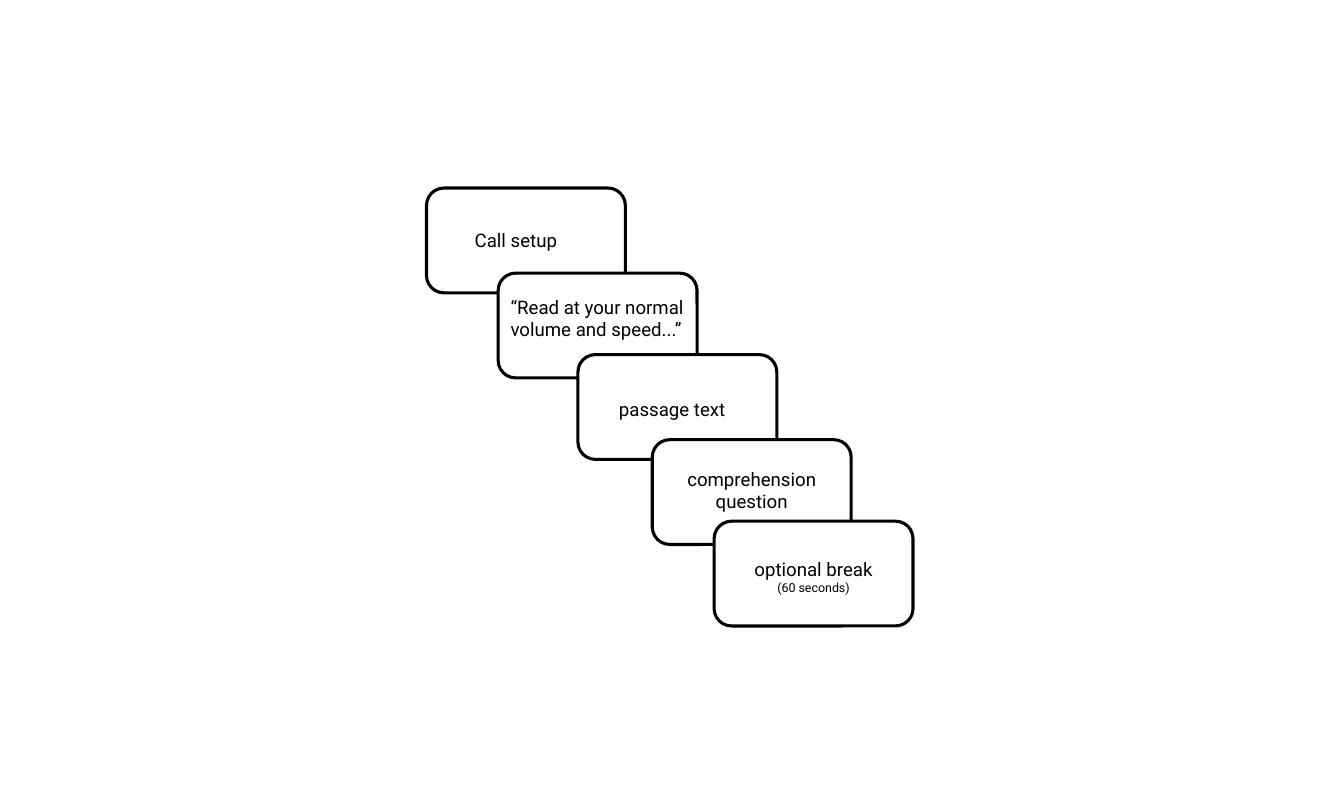
"""Build a slide with the cascading screens of a reading-aloud session."""
from pptx import Presentation
from pptx.dml.color import RGBColor
from pptx.enum.shapes import MSO_SHAPE
from pptx.enum.text import PP_ALIGN
from pptx.util import Inches, Pt

ROUNDED = MSO_SHAPE.ROUNDED_RECTANGLE
LEFT, CENTER = PP_ALIGN.LEFT, PP_ALIGN.CENTER

SCREENS = [
    {"corner": (4.76, 2.1), "label": (5.2, 2.51, 1.47, 0.35), "align": LEFT,
     "lines": [("Call setup", "body")]},
    {"corner": (5.56, 3.05), "label": (5.6, 3.25, 2.22, 0.61), "align": LEFT,
     "lines": [("“Read at your normal volume and speed...”", "body")]},
    {"corner": (6.45, 3.96), "label": (6.81, 4.39, 1.51, 0.35), "align": LEFT,
     "lines": [("passage text", "body")]},
    {"corner": (7.28, 4.91), "label": (7.49, 5.17, 1.8, 0.61), "align": CENTER,
     "lines": [("comprehension", "body"), ("question", "body")]},
    {"corner": (7.97, 5.82), "label": (8.18, 6.18, 1.8, 0.52), "align": CENTER,
     "lines": [("optional break", "body"), ("(60 seconds)", "note")]},
]
SLIDE_SIZE = (15, 9)
CARD_SIZE = (2.22, 1.17)
THEME = {
    "font": "Roboto",
    "ink": RGBColor(0, 0, 0),
    "paper": RGBColor(255, 255, 255),
    "outline": Pt(2.5),
    "body": Pt(15),
    "note": Pt(10),
}


def add_card(slide, corner):
    card = slide.shapes.add_shape(ROUNDED, *map(Inches, corner + CARD_SIZE))
    card.shadow.inherit = False
    card.fill.solid()
    card.fill.fore_color.rgb = THEME["paper"]
    card.line.color.rgb = THEME["ink"]
    card.line.width = THEME["outline"]


def add_label(slide, bounds, lines, align):
    label = slide.shapes.add_textbox(*map(Inches, bounds)).text_frame
    label.word_wrap = True
    for index, (wording, size) in enumerate(lines):
        paragraph = label.add_paragraph() if index else label.paragraphs[0]
        paragraph.text = wording
        paragraph.alignment = align
        paragraph.font.name = THEME["font"]
        paragraph.font.size = THEME[size]
        paragraph.font.color.rgb = THEME["ink"]


def main():
    deck = Presentation()
    deck.slide_width, deck.slide_height = map(Inches, SLIDE_SIZE)
    slide = deck.slides.add_slide(deck.slide_layouts[6])
    for screen in SCREENS:
        add_card(slide, screen["corner"])
        add_label(slide, screen["label"], screen["lines"], screen["align"])
    deck.save("out.pptx")


if __name__ == "__main__":
    main()
